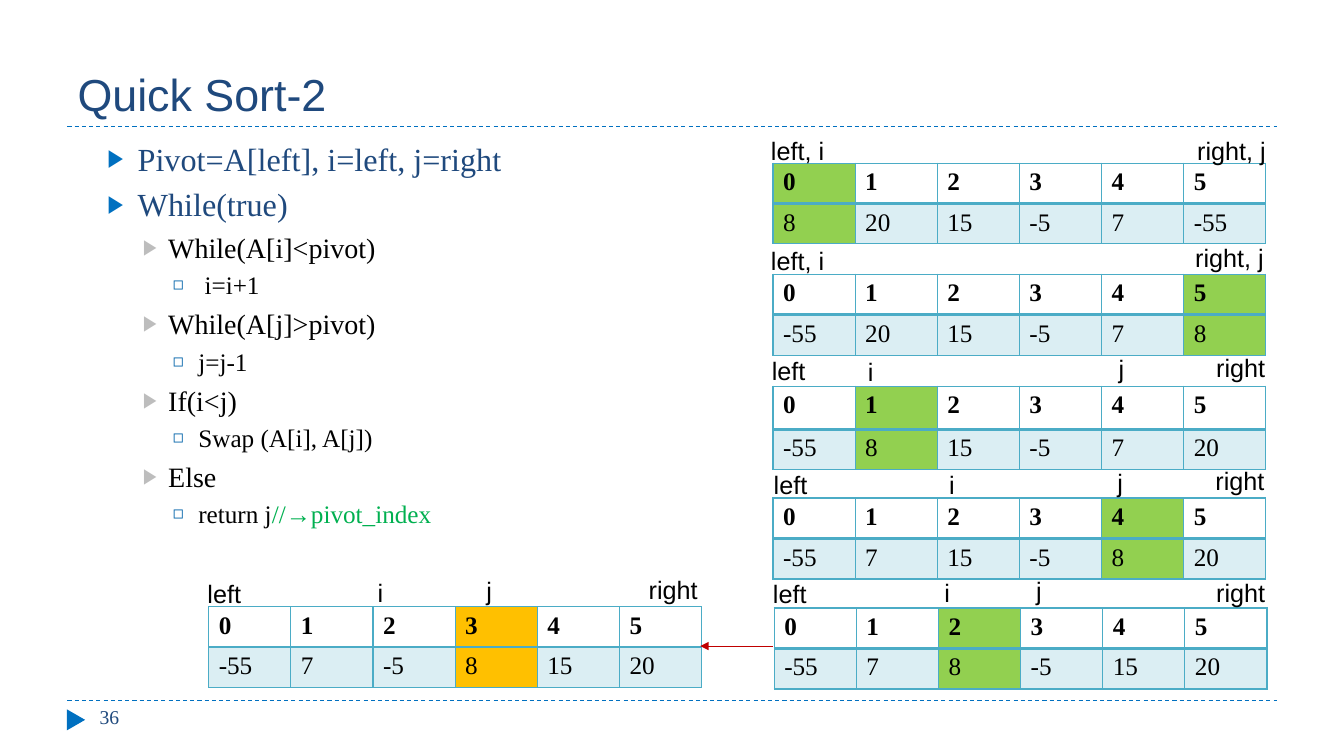
from typing import NamedTuple

from lxml import etree
from pptx import Presentation
from pptx import util as u
from pptx.dml.color import RGBColor
from pptx.enum import dml, shapes, text
from pptx.oxml.ns import qn

SANS, SERIF = "Arial", "Times New Roman"
BLACK, NAVY, BLUE, TEAL = "000000", "1F497D", "0070C0", "4BACC6"
GREEN, AMBER = "92D050", "FFC000"
COLUMN_WIDTH = 2.07
LABEL_WIDTHS = {"left, i": 1.85, "right, j": 2.26, "left": 1.37, "right": 1.75, "i": 0.66, "j": 0.66}


class Label(NamedTuple):
    text: str
    left: float
    top: float


class ArrayState(NamedTuple):
    left: float
    top: float
    row_heights: tuple[float, float]
    values: list[int]
    pivot: int
    highlight: str
    labels: list[Label]


class Level(NamedTuple):
    indent: float
    hanging: float
    space_before: float
    bullet: str
    bullet_color: str
    bullet_percent: int
    size: float
    color: str


class CodeLine(NamedTuple):
    level: int
    text: str
    comment: str = ""


LEVELS = {
    1: Level(1.52, 0.76, 5, "▶", BLUE, 76, 23, NAVY),
    2: Level(2.29, 0.64, 5, "▶", "BDBDBD", 76, 20, BLACK),
    3: Level(3.05, 0.64, 4, "◻", "0063A9", 70, 18, BLACK),
}

CODE = [
    CodeLine(1, "Pivot=A[left], i=left, j=right"),
    CodeLine(1, "While(true)"),
    CodeLine(2, "While(A[i]<pivot)"),
    CodeLine(3, " i=i+1"),
    CodeLine(2, "While(A[j]>pivot)"),
    CodeLine(3, "j=j-1"),
    CodeLine(2, "If(i<j)"),
    CodeLine(3, "Swap (A[i], A[j])"),
    CodeLine(2, "Else"),
    CodeLine(3, "return j", "//→pivot_index"),
]

STATES = [
    ArrayState(19.48, 4.11, (0.96, 0.96), [8, 20, 15, -5, 7, -55], 0, GREEN,
               [Label("left, i", 19.18, 3.28), Label("right, j", 29.92, 3.28)]),
    ArrayState(19.48, 6.91, (1.02, 1.02), [-55, 20, 15, -5, 7, 8], 5, GREEN,
               [Label("left, i", 19.18, 6.05), Label("right, j", 29.87, 5.99)]),
    ArrayState(19.48, 9.73, (1.09, 1.02), [-55, 8, 15, -5, 7, 20], 1, GREEN,
               [Label("left", 19.2, 8.84), Label("i", 21.62, 8.86),
                Label("j", 27.94, 8.79), Label("right", 30.4, 8.76)]),
    ArrayState(19.48, 12.55, (1.02, 1.02), [-55, 7, 15, -5, 8, 20], 4, GREEN,
               [Label("left", 19.25, 11.71), Label("i", 23.67, 11.71),
                Label("j", 27.91, 11.66), Label("right", 30.38, 11.61)]),
    ArrayState(19.51, 15.32, (1.02, 1.02), [-55, 7, 8, -5, 15, 20], 2, GREEN,
               [Label("left", 19.23, 14.45), Label("i", 23.55, 14.43),
                Label("j", 25.86, 14.38), Label("right", 30.4, 14.43)]),
    ArrayState(5.26, 15.29, (1.02, 1.02), [-55, 7, -5, 8, 15, 20], 3, AMBER,
               [Label("left", 4.98, 14.45), Label("i", 9.27, 14.43),
                Label("j", 12.01, 14.38), Label("right", 16.1, 14.35)]),
]


def rgb(color: str) -> RGBColor:
    return RGBColor.from_string(color)


def set_font(font, name: str, size: float, color: str, bold: bool = False) -> None:
    font.name, font.size, font.bold = name, u.Pt(size), bold
    font.color.rgb = rgb(color)


def add_text(slide, content: str, left: float, top: float, width: float, height: float,
             name: str, size: float, color: str, wrap: bool = False) -> None:
    frame = slide.shapes.add_textbox(u.Cm(left), u.Cm(top), u.Cm(width), u.Cm(height)).text_frame
    frame.word_wrap = wrap
    frame.text = content
    set_font(frame.paragraphs[0].font, name, size, color)


def add_line(slide, start: tuple[float, float], end: tuple[float, float], color: str):
    line = slide.shapes.add_connector(shapes.MSO_CONNECTOR.STRAIGHT, *map(u.Cm, start + end))
    line.line.color.rgb = rgb(color)
    line.line.width = u.Pt(0.75)
    properties = line.line._get_or_add_ln().getparent()
    etree.SubElement(properties, qn("a:effectLst"))
    return line


def set_bullet(paragraph, level: Level) -> None:
    properties = paragraph._p.get_or_add_pPr()
    properties.set("marL", str(u.Cm(level.indent)))
    properties.set("indent", str(-u.Cm(level.hanging)))
    color = etree.SubElement(properties, qn("a:buClr"))
    etree.SubElement(color, qn("a:srgbClr"), val=level.bullet_color)
    etree.SubElement(properties, qn("a:buSzPct"), val=str(level.bullet_percent * 1000))
    etree.SubElement(properties, qn("a:buFont"), typeface=SANS)
    etree.SubElement(properties, qn("a:buChar"), char=level.bullet)


def add_code(slide) -> None:
    frame = slide.shapes.add_textbox(u.Cm(1.7), u.Cm(3.38), u.Cm(17), u.Cm(13.72)).text_frame
    frame.word_wrap = True
    for index, line in enumerate(CODE):
        level = LEVELS[line.level]
        paragraph = frame.add_paragraph() if index else frame.paragraphs[0]
        set_bullet(paragraph, level)
        if index:
            paragraph.space_before = u.Pt(level.space_before)
        set_font(paragraph.font, SERIF, level.size, level.color)
        paragraph.add_run().text = line.text
        if line.comment:
            comment = paragraph.add_run()
            comment.text = line.comment
            comment.font.color.rgb = rgb("00B050")


def set_borders(cell, bottom_width: float) -> None:
    properties = cell._tc.get_or_add_tcPr()
    for index, side in enumerate(("lnL", "lnR", "lnT", "lnB")):
        width = bottom_width if side == "lnB" else 1
        border = etree.Element(qn(f"a:{side}"), w=str(u.Pt(width)))
        fill = etree.SubElement(border, qn("a:solidFill"))
        etree.SubElement(fill, qn("a:srgbClr"), val=TEAL)
        properties.insert(index, border)


def add_array(slide, state: ArrayState) -> None:
    count = len(state.values)
    table = slide.shapes.add_table(2, count, u.Cm(state.left), u.Cm(state.top),
                                   u.Cm(COLUMN_WIDTH * count), u.Cm(sum(state.row_heights))).table
    table.horz_banding = False
    for column in table.columns:
        column.width = u.Cm(COLUMN_WIDTH)
    for row, (height, numbers) in enumerate(zip(state.row_heights, (range(count), state.values))):
        table.rows[row].height = u.Cm(height)
        for column, number in enumerate(numbers):
            cell = table.cell(row, column)
            cell.text = str(number)
            set_font(cell.text_frame.paragraphs[0].font, SERIF, 18, BLACK, bold=row == 0)
            if column != state.pivot and row == 0:
                cell.fill.background()
            else:
                cell.fill.solid()
                cell.fill.fore_color.rgb = rgb(state.highlight if column == state.pivot else TEAL)
                if column != state.pivot:
                    color = cell._tc.tcPr.find(f".//{qn('a:srgbClr')}")
                    etree.SubElement(color, qn("a:alpha"), val="20000")
            set_borders(cell, 2 if row == 0 else 1)
    for label in state.labels:
        add_text(slide, label.text, label.left, label.top, LABEL_WIDTHS[label.text], 1.02, SANS, 18, BLACK)


def main() -> None:
    presentation = Presentation()
    presentation.slide_width, presentation.slide_height = u.Cm(33.87), u.Cm(19.05)
    slide = presentation.slides.add_slide(presentation.slide_layouts[5])

    for height in (17.65, 3.18):
        rule = add_line(slide, (1.7, height), (32.18, height), BLUE)
        rule.line.dash_style = dml.MSO_LINE.DASH

    marker = slide.shapes.add_shape(shapes.MSO_SHAPE.ISOSCELES_TRIANGLE,
                                    u.Cm(1.65), u.Cm(17.91), u.Cm(0.53), u.Cm(0.46))
    marker.rotation = 90
    marker.shadow.inherit = False
    marker.fill.solid()
    marker.fill.fore_color.rgb = rgb(BLUE)
    marker.line.fill.background()

    title = slide.shapes.title
    title.left, title.top, title.width, title.height = map(u.Cm, (1.7, 0.43, 30.48, 2.74))
    title.text_frame.text = "Quick Sort-2"
    title.text_frame.vertical_anchor = text.MSO_ANCHOR.BOTTOM
    title.text_frame.paragraphs[0].alignment = text.PP_ALIGN.LEFT
    set_font(title.text_frame.paragraphs[0].font, SANS, 32, NAVY)

    add_text(slide, "36", 2.26, 17.65, 7.34, 1.02, SERIF, 14, NAVY, wrap=True)
    add_code(slide)
    for state in STATES:
        add_array(slide, state)

    arrow = add_line(slide, (19.48, 16.28), (17.65, 16.28), "C00000")
    etree.SubElement(arrow.line._get_or_add_ln(), qn("a:tailEnd"), type="triangle")
    presentation.save("out.pptx")


if __name__ == "__main__":
    main()
